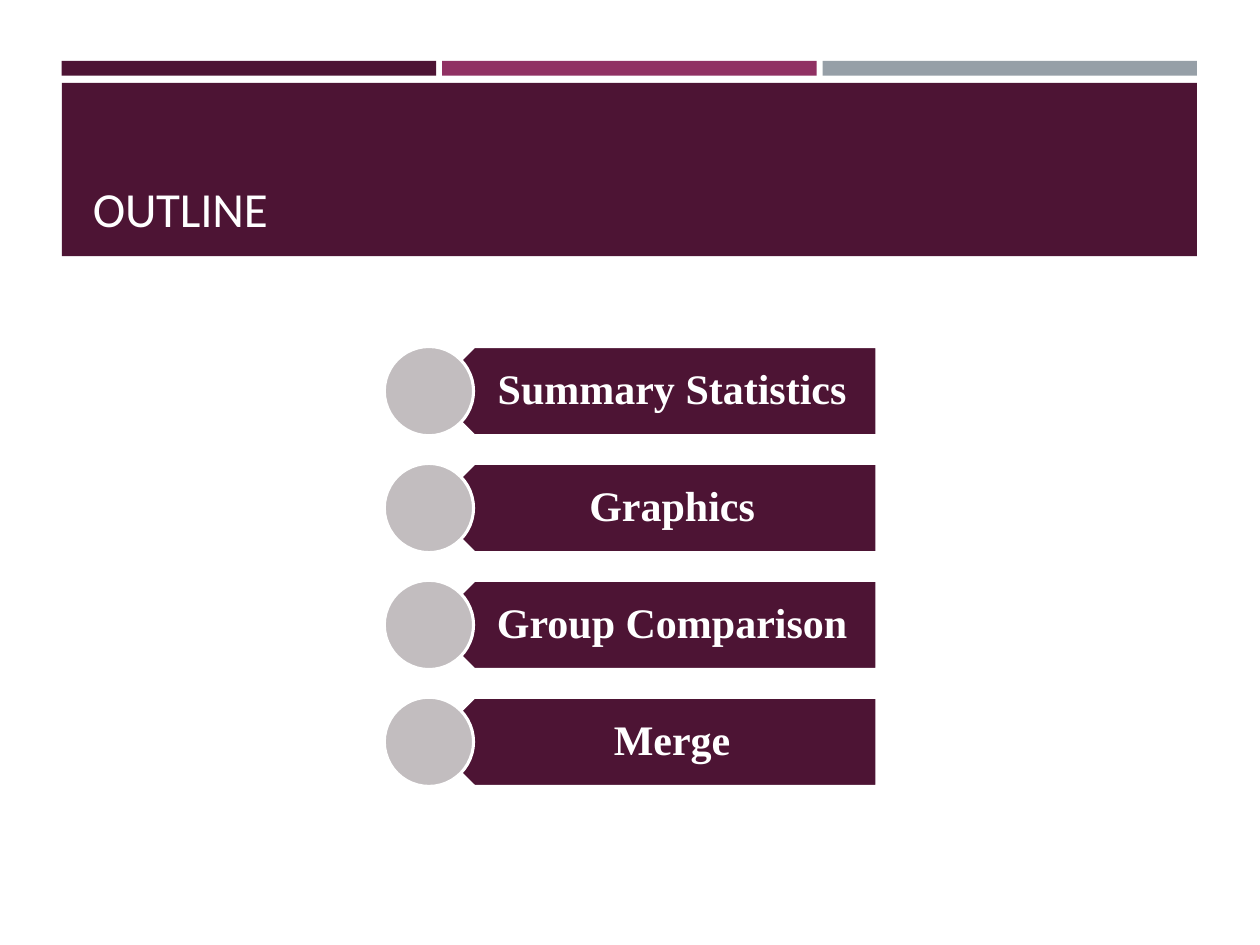
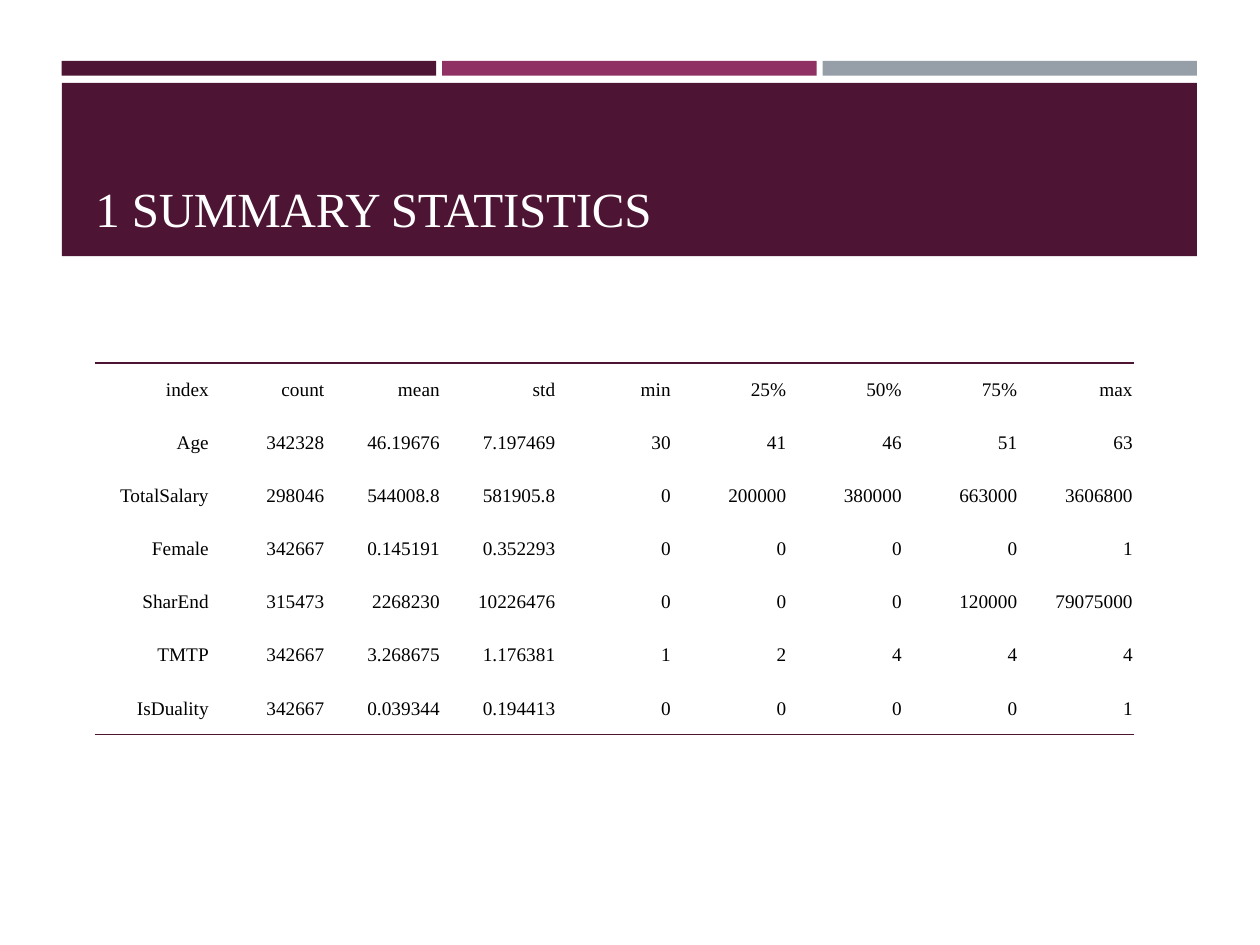
from lxml import etree
from pptx import Presentation
from pptx.dml.color import RGBColor
from pptx.enum import shapes, text
from pptx.oxml import ns
from pptx.util import Pt

COLORS = {"plum": "4D1434", "berry": "903163", "slate": "969FA7",
          "circle": "C2BDBF", "white": "FFFFFF", "black": "000000"}
SANS, SERIF = "Calibri", "Times New Roman"
NO_STYLE = "{2D5ABB26-0587-4C30-8999-92F81FD0307C}"

TOPICS = ["Summary Statistics", "Graphics", "Group Comparison ", "Merge"]
STATISTICS = [
    ("index", "count", "mean", "std", "min", "25%", "50%", "75%", "max"),
    ("Age", "342328", "46.19676", "7.197469", "30", "41", "46", "51", "63"),
    ("TotalSalary", "298046", "544008.8", "581905.8", "0", "200000", "380000", "663000", "3606800"),
    ("Female", "342667", "0.145191", "0.352293", "0", "0", "0", "0", "1"),
    ("SharEnd", "315473", "2268230", "10226476", "0", "0", "0", "120000", "79075000"),
    ("TMTP", "342667", "3.268675", "1.176381", "1", "2", "4", "4", "4"),
    ("IsDuality", "342667", "0.039344", "0.194413", "0", "0", "0", "0", "1"),
]

BAND_LEFT, BAND_WIDTH, STRIP_GAP = 35.3, 648.7, 3.4
TOPIC_TOP, TOPIC_PITCH, TOPIC_SIZE = 198, 66.8, 51
TABLE_LEFT, TABLE_TOP, COL_WIDTH, ROW_HEIGHT = 54, 207.4, 66, 30.34


def rgb(name):
    return RGBColor.from_string(COLORS[name])


def add_shape(s, kind, box, fill, line=None):
    sp = s.shapes.add_shape(kind, *map(Pt, box))
    sp.shadow.inherit = False
    sp.fill.solid()
    sp.fill.fore_color.rgb = rgb(fill)
    if line:
        sp.line.color.rgb = rgb(line)
        sp.line.width = Pt(1.75)
    else:
        sp.line.fill.background()
    return sp


def set_insets(frame, left, top, right, bottom):
    frame.margin_left, frame.margin_top = Pt(left), Pt(top)
    frame.margin_right, frame.margin_bottom = Pt(right), Pt(bottom)


def add_run(p, words, font, size, color, bold=False):
    r = p.add_run()
    r.text = words
    r.font.name, r.font.size, r.font.bold = font, Pt(size), bold
    r.font.color.rgb = rgb(color)
    return r


def add_text_box(s, box, anchor, insets):
    tf = s.shapes.add_textbox(*map(Pt, box)).text_frame
    tf.word_wrap = True
    tf.vertical_anchor = anchor
    set_insets(tf, *insets)
    return tf.paragraphs[0]


def add_titled_slide(prs, title, font, indent=0):
    """Add a slide with the three strips, the title band and its title."""
    s = prs.slides.add_slide(prs.slide_layouts[6])
    rect = shapes.MSO_SHAPE.RECTANGLE
    strips = ("plum", "berry", "slate")
    width = (BAND_WIDTH - STRIP_GAP * (len(strips) - 1)) / len(strips)
    for i, color in enumerate(strips):
        add_shape(s, rect, (BAND_LEFT + i * (width + STRIP_GAP), 34.8, width, 8.5), color)
    add_shape(s, rect, (BAND_LEFT, 47.3, BAND_WIDTH, 99), "plum")
    p = add_text_box(s, (46, 54, 629.3, 85), text.MSO_ANCHOR.BOTTOM,
                     (7.2 + indent, 3.6, 7.2, 3.6))
    r = add_run(p, title, font, 28, "white")
    r.font._element.set("spc", "-10")
    return s, p


def add_topic(s, top, topic):
    arrow = add_shape(s, shapes.MSO_SHAPE.PENTAGON, (245.5, top, 255.6, TOPIC_SIZE),
                      "plum", "white")
    arrow.rotation = 180
    p = add_text_box(s, (258, top, 242.8, TOPIC_SIZE), text.MSO_ANCHOR.MIDDLE,
                     (23, 7.2, 13.7, 7.2))
    p.alignment = text.PP_ALIGN.CENTER
    p.line_spacing = 0.9
    add_run(p, topic, SERIF, 24, "white", bold=True)
    add_shape(s, shapes.MSO_SHAPE.OVAL, (219.6, top, TOPIC_SIZE, TOPIC_SIZE),
              "circle", "white")


def add_border(cell, side):
    ln = etree.SubElement(cell._tc.get_or_add_tcPr(), ns.qn("a:" + side), w=str(Pt(1)))
    fill = etree.SubElement(ln, ns.qn("a:solidFill"))
    etree.SubElement(fill, ns.qn("a:srgbClr"), val=COLORS["plum"])


def add_statistics_table(s, rows):
    n_rows, n_cols = len(rows), len(rows[0])
    box = (TABLE_LEFT, TABLE_TOP, n_cols * COL_WIDTH, n_rows * ROW_HEIGHT)
    table = s.shapes.add_table(n_rows, n_cols, *map(Pt, box)).table
    table.first_row = table.horz_banding = False
    table._tbl.tblPr.find(ns.qn("a:tableStyleId")).text = NO_STYLE
    for col in table.columns:
        col.width = Pt(COL_WIDTH)
    for i, values in enumerate(rows):
        table.rows[i].height = Pt(ROW_HEIGHT)
        for j, value in enumerate(values):
            cell = table.cell(i, j)
            set_insets(cell, 0.7, 0.7, 0.7, 0)
            cell.vertical_anchor = text.MSO_ANCHOR.MIDDLE
            if i == 0:
                add_border(cell, "lnT")
            if i == n_rows - 1:
                add_border(cell, "lnB")
            cell.fill.background()
            p = cell.text_frame.paragraphs[0]
            p.alignment = text.PP_ALIGN.RIGHT
            add_run(p, value, SERIF, 11, "black")


def main():
    prs = Presentation()
    prs.slide_width, prs.slide_height = Pt(720), Pt(540)

    s, _ = add_titled_slide(prs, "OUTLINE", SANS)
    for i, topic in enumerate(TOPICS):
        add_topic(s, TOPIC_TOP + i * TOPIC_PITCH, topic)

    s, p = add_titled_slide(prs, "1 SUMMARY STATISTICS", SERIF, indent=1.4)
    p.alignment = text.PP_ALIGN.JUSTIFY
    p.line_spacing = 1.15
    add_statistics_table(s, STATISTICS)

    prs.save("out.pptx")


if __name__ == "__main__":
    main()
